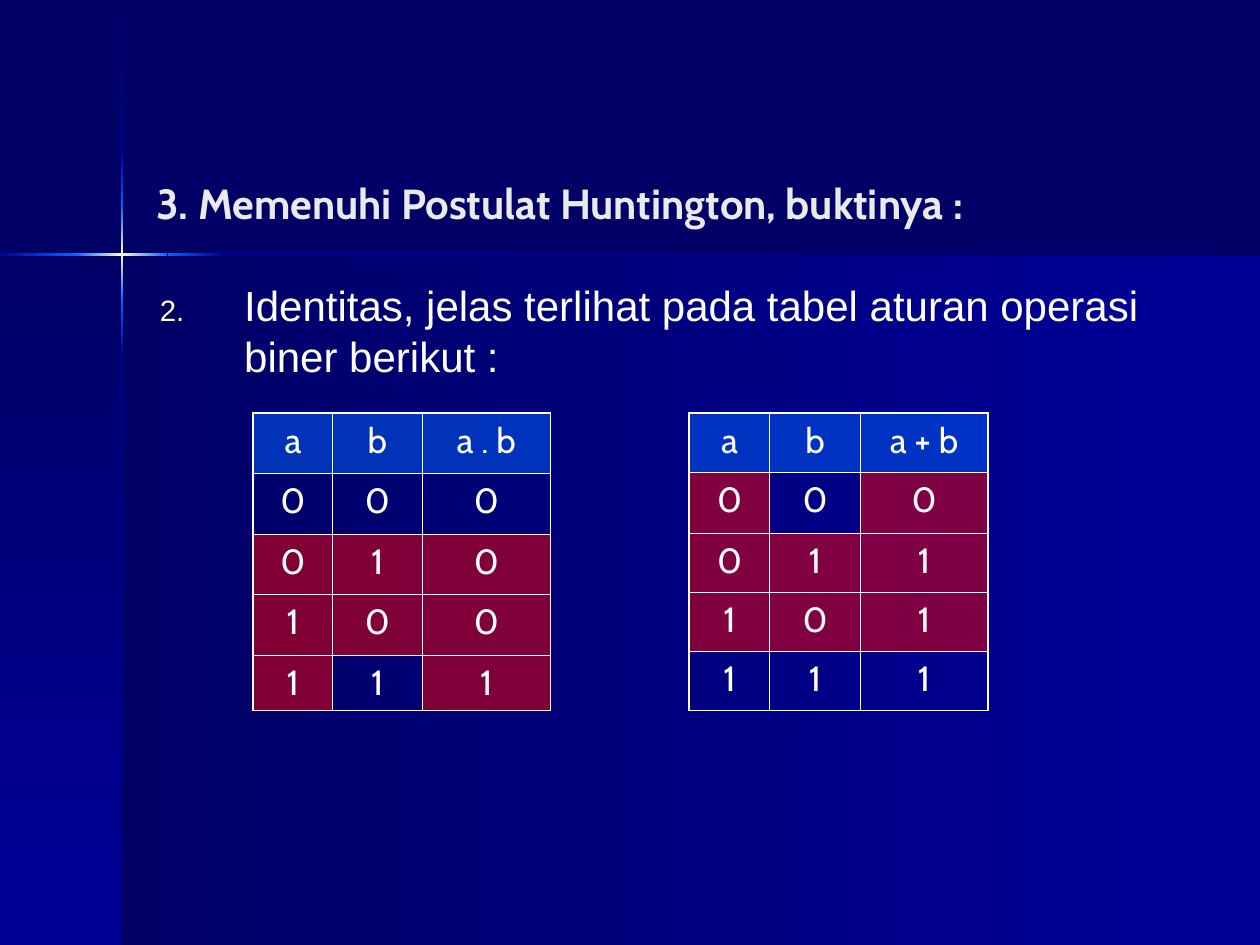
"""Build a slide with the truth tables that show the identity postulate of Huntington."""
from copy import deepcopy
from itertools import pairwise

from lxml import etree
from pptx import Presentation
from pptx import util as u
from pptx.dml.color import RGBColor
from pptx.enum import shapes, text
from pptx.oxml import ns

NIGHT = RGBColor(0x00, 0x00, 0x66)
BLUE = RGBColor(0x00, 0x00, 0x99)
AZURE = RGBColor(0x00, 0x66, 0xFF)
CREAM = RGBColor(0xFF, 0xFF, 0xCC)
SILVER = RGBColor(0xEA, 0xEA, 0xEA)
WHITE = RGBColor(0xFF, 0xFF, 0xFF)
RED = RGBColor(0xFF, 0x00, 0x00)

deck = Presentation()
deck.slide_width, deck.slide_height = u.Inches(10), u.Inches(7.5)
UNIT = deck.slide_width / 100
COLUMNS, ROWS = 100, 75
page = deck.slides.add_slide(deck.layouts[5] if hasattr(deck, "layouts") else deck.slide_layouts[5])
page.background.fill.solid()
page.background.fill.fore_color.rgb = NIGHT


def grid(*lengths):
    return [u.Emu(round(length * UNIT)) for length in lengths]


def add_span(para, words, font, size, color, bold=False):
    span = para.add_run()
    span.text = words
    span.font.name, span.font.size, span.font.bold = font, u.Pt(size), bold
    span.font.color.rgb = color


CROSS_X, CROSS_Y, BEAM = 9.7, 20.2, 0.2
FLARE = [(NIGHT, BLUE), (BLUE, AZURE), (AZURE, CREAM, AZURE), (AZURE, BLUE), (BLUE, NIGHT)]
bands = [
    ((CROSS_X, CROSS_Y, COLUMNS - CROSS_X, ROWS - CROSS_Y), (NIGHT, BLUE), 0),
    ((0, CROSS_Y, CROSS_X, ROWS - CROSS_Y), (NIGHT, BLUE), 270),
]
for (start, end), colors in zip(pairwise((0.1, 12.1, 16.5, 23.8, 28.2, ROWS)), FLARE):
    bands.append(((CROSS_X - BEAM / 2, start, BEAM, end - start), colors, 270))
for (start, end), colors in zip(pairwise((0, 6, 13.3, 17.7, COLUMNS)), FLARE[1:]):
    bands.append(((start, CROSS_Y - BEAM / 2, end - start, BEAM), colors, 0))

for place, colors, angle in bands:
    band = page.shapes.add_shape(shapes.MSO_SHAPE.RECTANGLE, *grid(*place))
    band.shadow.inherit = False
    band.line.fill.background()
    band.fill.gradient()
    band.fill.gradient_angle = angle
    if len(colors) == 3:
        first_stop = band._element.spPr.find(".//" + ns.qn("a:gs"))
        first_stop.addnext(deepcopy(first_stop))
    for index, (stop, color) in enumerate(zip(band.fill.gradient_stops, colors)):
        stop.position = index / (len(colors) - 1)
        stop.color.rgb = color

title = page.shapes.title
page.shapes._spTree.append(title._element)
title.left, title.top, title.width, title.height = grid(11.4, 13.9, 82.5, 4.3)
title.text_frame.auto_size = text.MSO_AUTO_SIZE.NONE
title.text_frame.vertical_anchor = text.MSO_ANCHOR.MIDDLE
para = title.text_frame.paragraphs[0]
para.alignment = text.PP_ALIGN.LEFT
add_span(para, "3. Memenuhi Postulat Huntington, buktinya :", "Cabin", 24, SILVER, True)

box = page.shapes.add_textbox(*grid(11.7, 21.7, 84, 9.5))
box.text_frame.word_wrap = True
para = box.text_frame.paragraphs[0]
properties = para._p.get_or_add_pPr()
indent = grid(6.7)[0]
properties.set("marL", str(indent))
properties.set("indent", str(-indent))
bullet_color = etree.SubElement(properties, ns.qn("a:buClr"))
etree.SubElement(bullet_color, ns.qn("a:srgbClr"), val=str(CREAM))
etree.SubElement(properties, ns.qn("a:buSzPct"), val="70000")
etree.SubElement(properties, ns.qn("a:buFont"), typeface="Arial")
etree.SubElement(properties, ns.qn("a:buAutoNum"), type="arabicPeriod", startAt="2")
add_span(para, "Identitas, jelas terlihat pada tabel aturan operasi biner berikut :", "Arial", 24, WHITE)

INPUTS = [(0, 0), (0, 1), (1, 0), (1, 1)]
truth_tables = [
    (54.7, "a + b", [a | b for a, b in INPUTS], (6.4, 7.2, 10.1), (4.7, 4.8, 4.7, 4.7, 4.7),
     ["RNR", "RRR", "RRR", "NNN"]),
    (20.1, "a . b", [a & b for a, b in INPUTS], (6.3, 7.1, 10.2), (4.8, 4.8, 4.8, 4.8, 4.4),
     ["NNN", "RRR", "RRR", "RNR"]),
]
TINTS = {"A": AZURE, "R": RED}
THICK, THIN = u.Pt(1.08), u.Pt(0.45)

for left, operation, results, widths, heights, marks in truth_tables:
    frame = page.shapes.add_table(len(heights), len(widths), *grid(left, 32.8, sum(widths), sum(heights)))
    table = frame.table
    table.first_row = table.horz_banding = False
    for column, width in zip(table.columns, grid(*widths)):
        column.width = width
    for row, height in zip(table.rows, grid(*heights)):
        row.height = height
    lines = [("a", "b", operation)] + [(a, b, result) for (a, b), result in zip(INPUTS, results)]
    for r, (values, tints) in enumerate(zip(lines, ["AAA"] + marks)):
        for c, (value, tint) in enumerate(zip(values, tints)):
            cell = table.cell(r, c)
            para = cell.text_frame.paragraphs[0]
            para.alignment = text.PP_ALIGN.CENTER
            add_span(para, str(value), "Cabin", 20, WHITE)
            cell_properties = cell._tc.get_or_add_tcPr()
            if tint in TINTS:
                cell.fill.solid()
                cell.fill.fore_color.rgb = TINTS[tint]
                color = cell_properties.find(".//" + ns.qn("a:srgbClr"))
                etree.SubElement(color, ns.qn("a:alpha"), val="50000")
            else:
                cell.fill.background()
            outer = {"L": c == 0, "R": c == len(widths) - 1, "T": r == 0, "B": r == len(heights) - 1}
            for position, (side, is_outer) in enumerate(outer.items()):
                border = etree.Element(ns.qn(f"a:ln{side}"), w=str(THICK if is_outer else THIN))
                ink = etree.SubElement(border, ns.qn("a:solidFill"))
                etree.SubElement(ink, ns.qn("a:srgbClr"), val=str(WHITE))
                cell_properties.insert(position, border)

deck.save("out.pptx")
